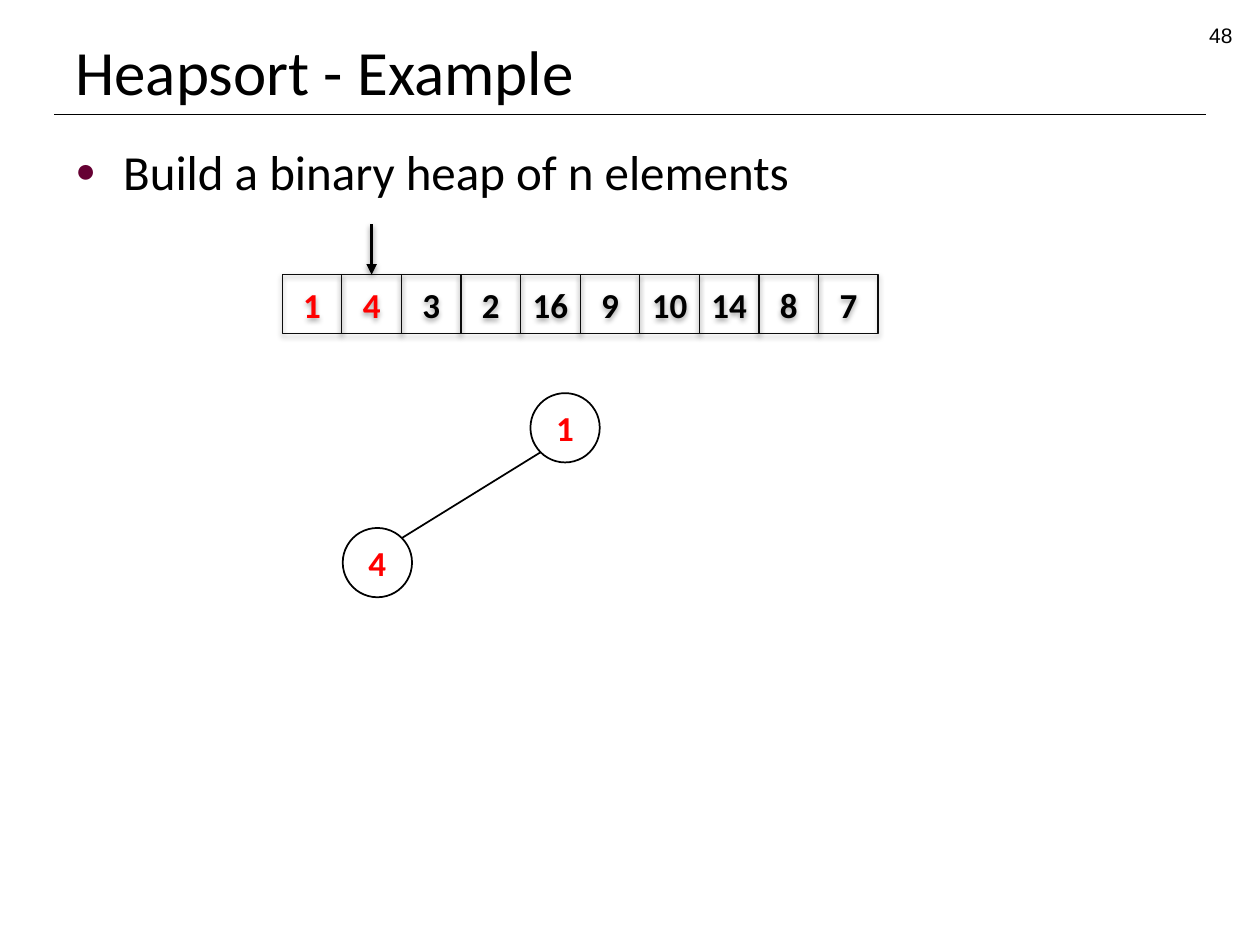
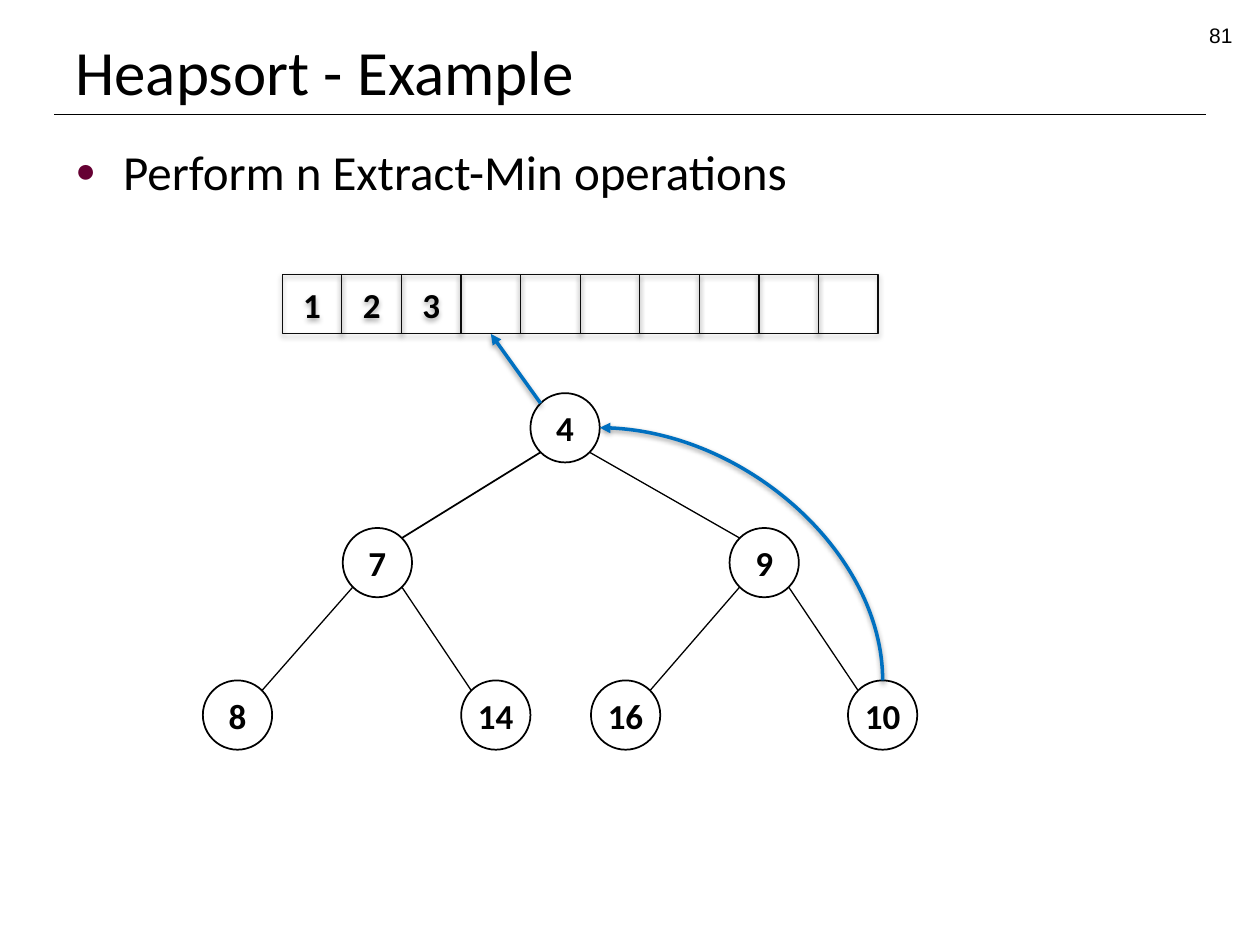
from dataclasses import dataclass

from lxml import etree
from pptx import Presentation
from pptx import util as u
from pptx.dml.color import RGBColor
from pptx.enum import shapes, text
from pptx.oxml.ns import qn


@dataclass(frozen=True)
class Theme:
    """Colours, fonts and type sizes shared by the slides."""
    ink: str = "000000"
    cell_line: str = "0D0D0D"
    active: str = "FF0000"
    move: str = "0070C0"
    bullet: str = "660033"
    font: str = "Calibri"
    number_font: str = "Arial"
    title_size: int = 36
    body_size: int = 28
    value_size: int = 20
    number_size: int = 12


@dataclass(frozen=True)
class Box:
    """A rectangle in inches."""
    left: float
    top: float
    width: float
    height: float

    def lengths(self):
        """Return the four sides as lengths."""
        return [u.Inches(side) for side in (self.left, self.top, self.width, self.height)]

    def point(self, across, down):
        """Return the point at the given shares of width and height."""
        return self.left + across * self.width, self.top + down * self.height


THEME = Theme()
HEADER = Box(0.5, 0.13, 9.38, 0.78)
BODY = Box(0.5, 1.07, 9, 6.22)
ARRAY = Box(2.24, 2.18, 4.73, 0.47)
TREE = Box(1.61, 3.12, 5.67, 2.83)
NODE_SIZE = 0.55
NODE_OFFSETS = [(2.6, 0), (1.11, 1.07), (4.18, 1.07),
                (0, 2.28), (2.05, 2.28), (3.08, 2.28), (5.12, 2.28)]
NEAR, FAR = 0.146, 0.854


def add_child(parent, tag, **attributes):
    """Append a drawing element with the given attributes."""
    return etree.SubElement(parent, qn(tag), {name: str(value) for name, value in attributes.items()})


def set_shadow(shape, opacity=0, distance=0):
    """Give a shape a soft shadow below it, or none."""
    properties = shape.element.spPr
    effects = properties.find(qn("a:effectLst"))
    if effects is None:
        effects = add_child(properties, "a:effectLst")
    if opacity:
        shadow = add_child(effects, "a:outerShdw", blurRad=u.Pt(3.1), dist=u.Pt(distance),
                           dir=5400000, rotWithShape=0)
        color = add_child(shadow, "a:srgbClr", val=THEME.ink)
        add_child(color, "a:alpha", val=opacity * 1000)


def write(frame, words, size, color=THEME.ink, font=THEME.font, bold=False, align=None):
    """Write one paragraph into a text frame and return it."""
    paragraph = frame.paragraphs[0]
    paragraph.text = words
    paragraph.alignment = align
    paragraph.font.size = u.Pt(size)
    paragraph.font.name = font
    paragraph.font.bold = bold
    paragraph.font.color.rgb = RGBColor.from_string(color)
    return paragraph


def add_text(slide, box, words, size, anchor=text.MSO_ANCHOR.TOP, **style):
    """Add a wrapping text box with one paragraph."""
    frame = slide.shapes.add_textbox(*box.lengths()).text_frame
    frame.word_wrap = True
    frame.vertical_anchor = anchor
    return write(frame, words, size, **style)


def add_value(slide, kind, box, value, color, line_color, line_width):
    """Add an unfilled outlined shape holding a value."""
    shape = slide.shapes.add_shape(kind, *box.lengths())
    shape.shadow.inherit = False
    shape.fill.background()
    shape.line.color.rgb = RGBColor.from_string(line_color)
    shape.line.width = u.Pt(line_width)
    if value is not None:
        frame = shape.text_frame
        frame.word_wrap = False
        frame.vertical_anchor = text.MSO_ANCHOR.MIDDLE
        write(frame, str(value), THEME.value_size, color, bold=True, align=text.PP_ALIGN.CENTER)
    return shape


def add_line(slide, start, end, width=0.75, color=THEME.ink, kind=shapes.MSO_CONNECTOR.STRAIGHT):
    """Add a plain line between two points in inches."""
    line = slide.shapes.add_connector(kind, *[u.Inches(value) for value in (*start, *end)])
    line.line.color.rgb = RGBColor.from_string(color)
    line.line.width = u.Pt(width)
    set_shadow(line)
    return line


def add_arrow(slide, start, end, color, **options):
    """Add a shadowed line with an arrowhead at its end."""
    arrow = add_line(slide, start, end, 2, color, **options)
    add_child(arrow.element.spPr.find(qn("a:ln")), "a:tailEnd", type="triangle")
    set_shadow(arrow, 38, 1.6)
    return arrow


def add_curved_arrow(slide, start, end, color):
    """Add an arrow that leaves upwards and bends left to its end."""
    center_x, center_y = (start[0] + end[0]) / 2, (start[1] + end[1]) / 2
    half_width, half_height = (start[1] - end[1]) / 2, (start[0] - end[0]) / 2
    arrow = add_arrow(slide, (center_x - half_width, center_y + half_height),
                      (center_x + half_width, center_y - half_height), color,
                      kind=shapes.MSO_CONNECTOR.CURVE)
    properties = arrow.element.spPr
    properties.find(qn("a:xfrm")).set("rot", str(270 * 60000))
    properties.find(qn("a:prstGeom")).set("prst", "curvedConnector2")


def draw_header(slide, box, title, number):
    """Draw the title, the rule below it and the slide number."""
    bottom = box.top + box.height
    add_line(slide, (box.left - 0.07, bottom), (box.left + 9.07, bottom))
    add_text(slide, box, title, THEME.title_size, text.MSO_ANCHOR.BOTTOM)
    number_box = Box(box.left + box.width - 2.33, box.top, 2.33, 0.28)
    add_text(slide, number_box, str(number), THEME.number_size,
             font=THEME.number_font, align=text.PP_ALIGN.RIGHT)


def draw_body(slide, box, words):
    """Draw the bulleted statement."""
    paragraph = add_text(slide, box, words, THEME.body_size)
    paragraph.space_before = u.Pt(0.2 * THEME.body_size)
    properties = paragraph.font._element.getparent()
    properties.set("marL", str(u.Inches(0.38)))
    properties.set("indent", str(u.Inches(-0.38)))
    defaults = properties.find(qn("a:defRPr"))
    bullet_color = add_child(properties, "a:buClr")
    add_child(bullet_color, "a:srgbClr", val=THEME.bullet)
    add_child(properties, "a:buSzPct", val=70000)
    add_child(properties, "a:buFont", typeface=THEME.number_font)
    add_child(properties, "a:buChar", char="●")
    properties.append(defaults)


def draw_array(slide, box, values, active=0):
    """Draw ten cells, the first active ones highlighted, and return them."""
    step = box.width / 10
    cells = []
    for index in range(10):
        value = values[index] if index < len(values) else None
        color = THEME.active if index < active else THEME.ink
        cell_box = Box(box.left + index * step, box.top, step, box.height)
        cell = add_value(slide, shapes.MSO_SHAPE.RECTANGLE, cell_box, value, color, THEME.cell_line, 0.75)
        set_shadow(cell, 35, 1.8)
        cells.append(cell)
    return cells


def draw_heap(slide, box, values, color=THEME.ink):
    """Draw a binary heap given in level order and return its node boxes."""
    nodes = [Box(box.left + across, box.top + down, NODE_SIZE, NODE_SIZE)
             for across, down in NODE_OFFSETS[:len(values)]]
    for index, (node, value) in enumerate(zip(nodes, values)):
        add_value(slide, shapes.MSO_SHAPE.OVAL, node, value, color, THEME.ink, 1)
        if index:
            parent = nodes[(index - 1) // 2]
            start, end = (NEAR, FAR) if index % 2 else (FAR, NEAR)
            add_line(slide, parent.point(start, FAR), node.point(end, NEAR), 1 if index == 1 else 0.75)
    return nodes


def start_slide(presentation, number, statement):
    """Add a slide with the shared header and its statement."""
    slide = presentation.slides.add_slide(presentation.slide_layouts[6])
    draw_header(slide, HEADER, "Heapsort - Example", number)
    draw_body(slide, BODY, statement)
    return slide


def build_heap_slide(presentation):
    """Show the second element joining the heap."""
    slide = start_slide(presentation, 48, "Build a binary heap of n elements")
    cells = draw_array(slide, ARRAY, [1, 4, 3, 2, 16, 9, 10, 14, 8, 7], active=2)
    draw_heap(slide, TREE, [1, 4], THEME.active)
    x, y = ARRAY.point(0.15, 0)
    add_arrow(slide, (x, y - 0.4), (x, y), THEME.ink).end_connect(cells[1], 0)


def extract_min_slide(presentation):
    """Show the root leaving for the array and the last node replacing it."""
    slide = start_slide(presentation, 81, "Perform n Extract-Min operations")
    cells = draw_array(slide, ARRAY, [1, 2, 3])
    nodes = draw_heap(slide, TREE, [4, 7, 9, 8, 14, 16, 10])
    root, last = nodes[0], nodes[-1]
    arrow = add_arrow(slide, root.point(NEAR, NEAR), ARRAY.point(0.35, 1), THEME.move)
    arrow.end_connect(cells[3], 2)
    add_curved_arrow(slide, last.point(0.5, 0), root.point(1, 0.5), THEME.move)


def main():
    """Build and save the presentation."""
    presentation = Presentation()
    presentation.slide_width = u.Inches(10)
    presentation.slide_height = u.Inches(7.5)
    build_heap_slide(presentation)
    extract_min_slide(presentation)
    presentation.save("out.pptx")


if __name__ == "__main__":
    main()
